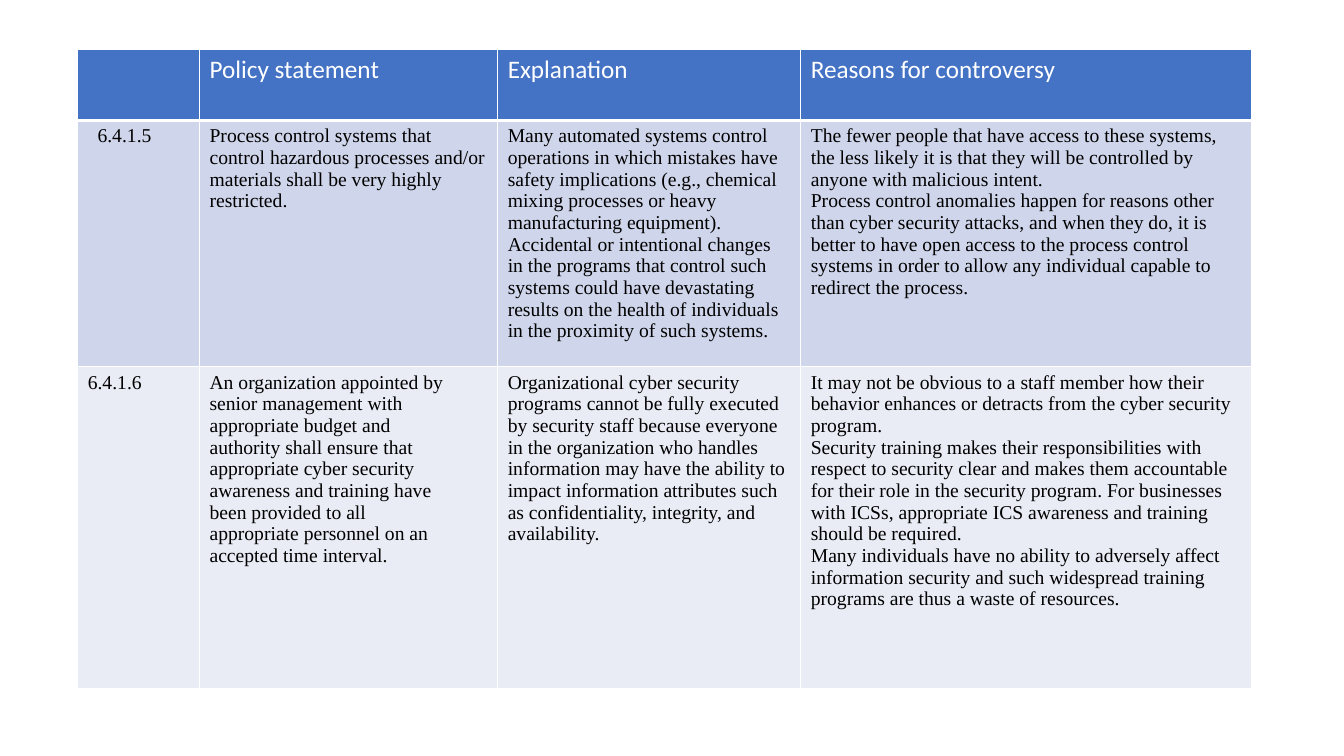
from lxml import etree
from pptx import Presentation
from pptx.dml.color import RGBColor
from pptx.oxml.ns import qn
from pptx.util import Pt

WHITE = RGBColor(0xFF, 0xFF, 0xFF)
BLACK = RGBColor(0x00, 0x00, 0x00)
HEADER_BLUE = RGBColor(0x44, 0x72, 0xC4)
ROW_FILLS = [RGBColor(0xCF, 0xD5, 0xEA), RGBColor(0xE9, 0xEB, 0xF5)]

COL_WIDTHS = [87, 213, 216.5, 322]
ROW_HEIGHTS = [50.5, 176, 230]
CODE_INDENT = 7

HEADERS = ["", "Policy statement", "Explanation", "Reasons for controversy"]
POLICIES = [
    [
        "6.4.1.5",
        "Process control systems that control hazardous processes and/or "
        "materials shall be very highly restricted.",
        "Many automated systems control\n"
        "operations in which mistakes have safety implications (e.g., chemical "
        "mixing processes or heavy manufacturing equipment). Accidental or "
        "intentional changes in the programs that control such systems could "
        "have devastating\n"
        "results on the health of individuals in the proximity of such systems.",
        "The fewer people that have access to these systems, the less likely it "
        "is that they will be controlled by anyone with malicious intent.\n"
        "Process control anomalies happen for reasons other than cyber security "
        "attacks, and when they do, it is better to have open access to the "
        "process control systems in order to allow any individual capable to "
        "redirect the process.",
    ],
    [
        "6.4.1.6",
        "An organization appointed by\n"
        "senior management with\n"
        "appropriate budget and\n"
        "authority shall ensure that\n"
        "appropriate cyber security\n"
        "awareness and training have\n"
        "been provided to all\n"
        "appropriate personnel on an\n"
        "accepted time interval.",
        "Organizational cyber security programs cannot be fully executed by "
        "security staff because everyone in the organization who handles\n"
        "information may have the ability to impact information attributes such "
        "as confidentiality, integrity, and\n"
        "availability.",
        "It may not be obvious to a staff member how their behavior enhances or "
        "detracts from the cyber security program.\n"
        "Security training makes their responsibilities with respect to security "
        "clear and makes them accountable for their role in the security program. "
        "For businesses with ICSs, appropriate ICS awareness and training should "
        "be required.\n"
        "Many individuals have no ability to adversely affect information "
        "security and such widespread training programs are thus a waste of "
        "resources.",
    ],
]


def write_text(tf, text, *, font, size, color):
    """Write one paragraph for each line of text."""
    for i, line in enumerate(text.split("\n")):
        p = tf.paragraphs[0] if i == 0 else tf.add_paragraph()
        p.font.size = Pt(size)
        if line:
            r = p.add_run()
            r.text = line
            r.font.name = font
            r.font.size = Pt(size)
            r.font.bold = False
            r.font.color.rgb = color


def set_borders(cell, top=1, bottom=1):
    """Add white borders; must run before the fill is set."""
    tcPr = cell._tc.get_or_add_tcPr()
    for side, width in (("L", 1), ("R", 1), ("T", top), ("B", bottom)):
        ln = etree.SubElement(tcPr, qn(f"a:ln{side}"), w=str(Pt(width)))
        fill = etree.SubElement(ln, qn("a:solidFill"))
        etree.SubElement(fill, qn("a:srgbClr"), val=str(WHITE))


def fill_cell(cell, color):
    cell.fill.solid()
    cell.fill.fore_color.rgb = color


def add_policy_table(slide):
    rows, cols = len(ROW_HEIGHTS), len(COL_WIDTHS)
    frame = slide.shapes.add_table(rows, cols, Pt(55.5), Pt(35.5),
                                   Pt(sum(COL_WIDTHS)), Pt(sum(ROW_HEIGHTS)))
    table = frame.table
    table.first_row = table.horz_banding = False
    for col, width in zip(table.columns, COL_WIDTHS):
        col.width = Pt(width)
    for row, height in zip(table.rows, ROW_HEIGHTS):
        row.height = Pt(height)

    for c, text in enumerate(HEADERS):
        cell = table.cell(0, c)
        set_borders(cell, bottom=3)
        fill_cell(cell, HEADER_BLUE)
        write_text(cell.text_frame, text, font="Calibri", size=18, color=WHITE)

    for r, (policy, color) in enumerate(zip(POLICIES, ROW_FILLS), start=1):
        for c, text in enumerate(policy):
            cell = table.cell(r, c)
            set_borders(cell, top=3 if r == 1 else 1)
            fill_cell(cell, color)
            write_text(cell.text_frame, text, font="Times New Roman", size=14,
                       color=BLACK)
    first_code = table.cell(1, 0)
    first_code.margin_left = first_code.margin_left + Pt(CODE_INDENT)


def main():
    prs = Presentation()
    prs.slide_width, prs.slide_height = Pt(960), Pt(540)
    slide = prs.slides.add_slide(prs.slide_layouts[6])
    add_policy_table(slide)
    prs.save("out.pptx")


if __name__ == "__main__":
    main()
